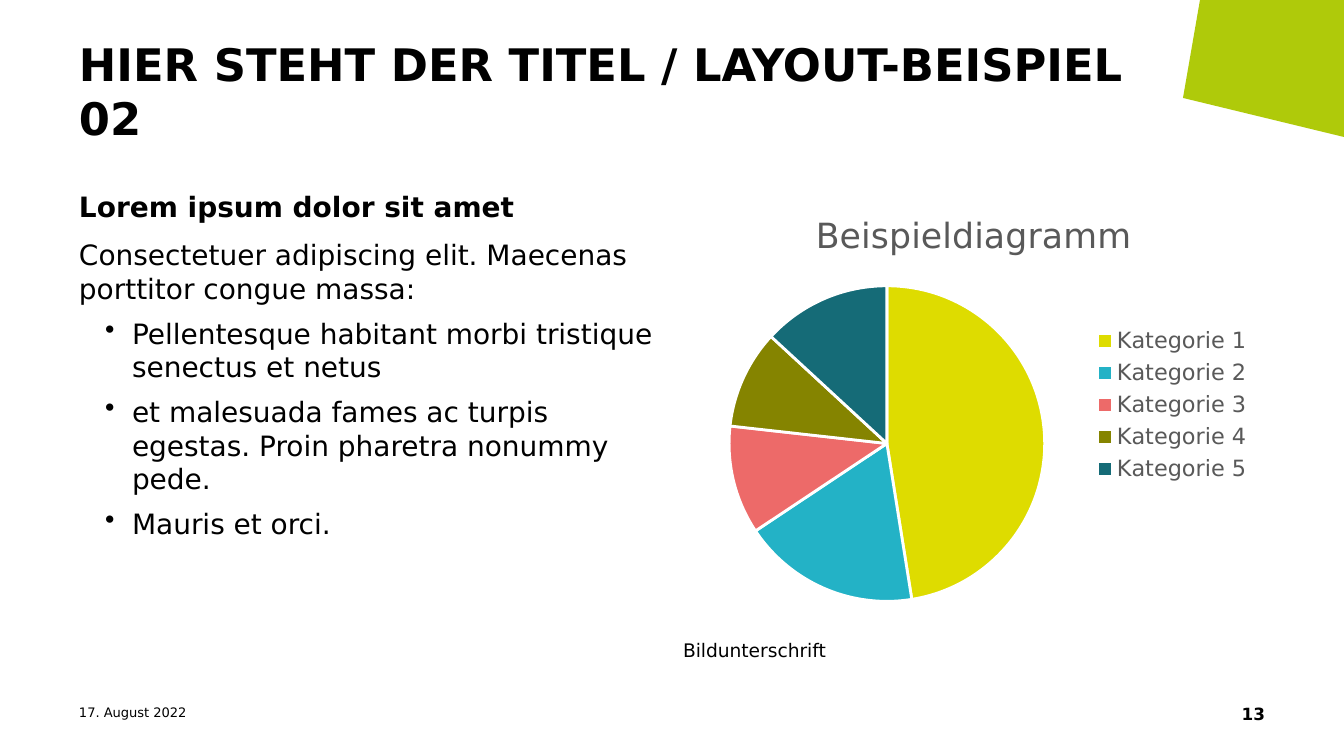
"""Build a title, text and pie chart slide."""
from lxml import etree
from pptx import Presentation
from pptx import util as u
from pptx.chart import data
from pptx.dml.color import RGBColor
from pptx.enum import chart as charts, text
from pptx.oxml.ns import qn

PX = 914400 / 134.4
FONT = "DejaVu Sans"
COLORS = {"black": "000000", "white": "FFFFFF", "grey": "595959", "lime": "AFCA0A"}
SLICES = {
    "Kategorie 1": (47, "DEDC00"),
    "Kategorie 2": (18, "23B2C6"),
    "Kategorie 3": (11, "ED6A69"),
    "Kategorie 4": (10, "858400"),
    "Kategorie 5": (13, "156B77"),
}
LEFT, MIDDLE, COLUMN = 79, 683, 582


def px(value):
    return u.Emu(round(value * PX))


def style(font, size, color="black", bold=False):
    font.name, font.size, font.bold = FONT, u.Pt(size), bold
    font.color.rgb = RGBColor.from_string(COLORS[color])


deck = Presentation()
deck.slide_width, deck.slide_height = px(1344), px(756)
page = deck.slides.add_slide(deck.slide_layouts[6])

outline = page.shapes.build_freeform(1200, 0, scale=PX)
outline.add_line_segments([(1344, 0), (1344, 137), (1183, 98)])
corner = outline.convert_to_shape()
corner.shadow.inherit = False
corner.fill.solid()
corner.fill.fore_color.rgb = RGBColor.from_string(COLORS["lime"])
corner.line.fill.background()

left, right = text.PP_ALIGN.LEFT, text.PP_ALIGN.RIGHT
top, bottom = text.MSO_ANCHOR.TOP, text.MSO_ANCHOR.BOTTOM
body = [
    ("Lorem ipsum dolor sit amet", 0, True, False),
    ("Consectetuer adipiscing elit. Maecenas porttitor congue massa:", 7.5, False, False),
    ("Pellentesque habitant morbi tristique senectus et netus", 6, False, True),
    ("et malesuada fames ac turpis egestas. Proin pharetra nonummy pede.", 6, False, True),
    ("Mauris et orci.", 6, False, True),
]
boxes = [
    ((LEFT, 704, 302, 22), 7, left, top, [("17. August 2022", 0, False, False)]),
    ((963, 704, 302, 22), 9, right, top, [("13", 0, True, False)]),
    ((MIDDLE, 632, COLUMN, 29), 10, left, bottom, [("Bildunterschrift", 0, False, False)]),
    ((LEFT, 190, COLUMN, 471), 15, left, top, body),
    ((LEFT, 37, 1050, 101), 24, left, top,
     [("HIER STEHT DER TITEL / LAYOUT-BEISPIEL 02", 0, True, False)]),
]
for place, size, align, anchor, paras in boxes:
    frame = page.shapes.add_textbox(*map(px, place)).text_frame
    frame.word_wrap = True
    frame.vertical_anchor = anchor
    frame.margin_left = frame.margin_right = frame.margin_top = frame.margin_bottom = 0
    for index, (words, before, bold, bullet) in enumerate(paras):
        para = frame.add_paragraph() if index else frame.paragraphs[0]
        para.text = words
        para.alignment = align
        para.space_before = u.Pt(before)
        if bullet:
            props = para._p.get_or_add_pPr()
            props.set("marL", str(px(53)))
            props.set("indent", str(px(-27)))
            etree.SubElement(props, qn("a:buChar")).set("char", "•")
        style(para.font, size, bold=bold)

values = data.CategoryChartData()
values.categories = list(SLICES)
values.add_series("Series 1", [value for value, color in SLICES.values()])
pie = page.shapes.add_chart(
    charts.XL_CHART_TYPE.PIE, px(MIDDLE), px(190), px(COLUMN), px(430), values
).chart
style(pie.font, 10)
pie.has_title = True
heading = pie.chart_title.text_frame.paragraphs[0]
heading.text = "Beispieldiagramm"
style(heading.font, 18.6, "grey")
pie.chart_title.include_in_layout = False
pie.has_legend = True
pie.legend.position = charts.XL_LEGEND_POSITION.RIGHT
pie.legend.include_in_layout = False
style(pie.legend.font, 12, "grey")

plot = pie.plots[0]
plot.vary_by_categories = True
for index, (value, color) in enumerate(SLICES.values()):
    wedge = plot.series[0].points[index].format
    wedge.fill.solid()
    wedge.fill.fore_color.rgb = RGBColor.from_string(color)
    wedge.line.color.rgb = RGBColor.from_string(COLORS["white"])
    wedge.line.width = u.Pt(1.5)

deck.save("out.pptx")
